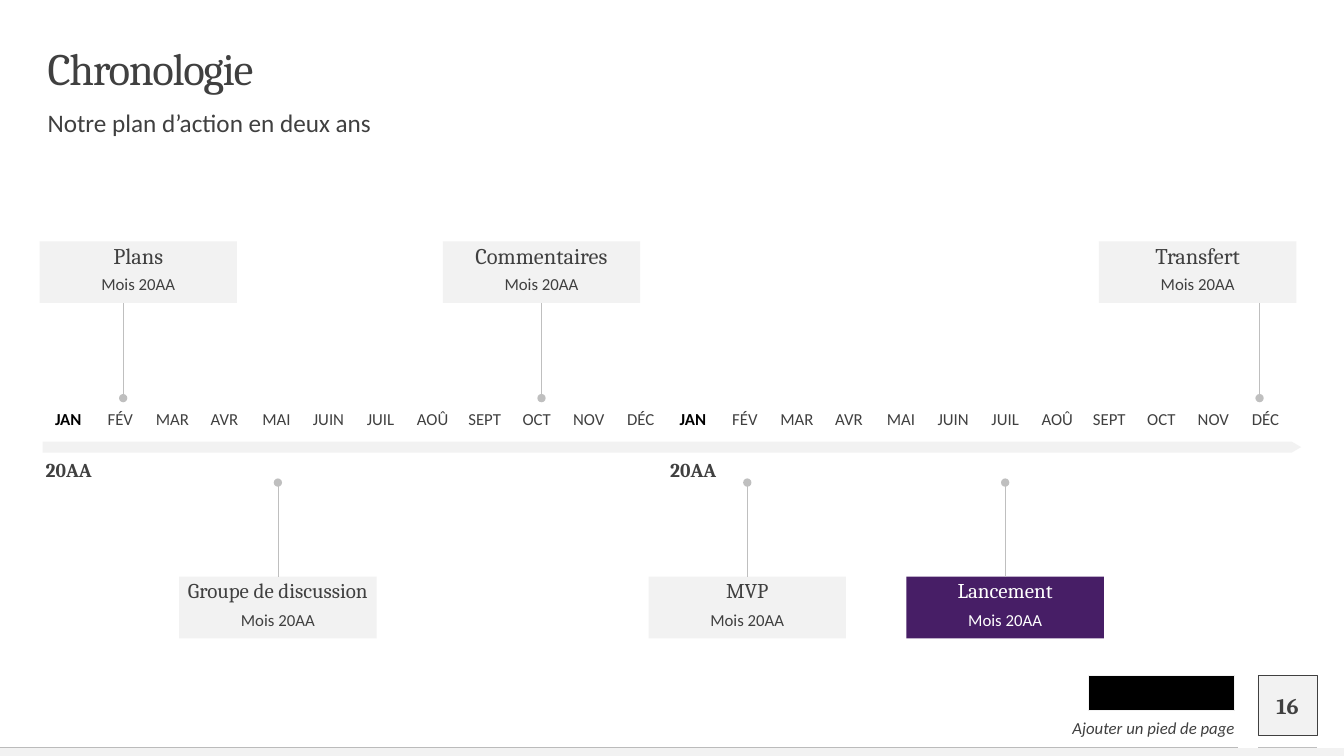
from lxml.etree import SubElement
from pptx import Presentation
from pptx.dml.color import RGBColor
from pptx.enum.shapes import MSO_CONNECTOR, MSO_SHAPE
from pptx.enum.text import MSO_ANCHOR, PP_ALIGN
from pptx.oxml.ns import qn
from pptx.util import Pt

HUES = {
    "ink": "404040", "black": "000000", "white": "FFFFFF", "pale": "F2F2F2",
    "grey": "BFBFBF", "plum": "471E66",
}
MONTHS = ["JAN", "FÉV", "MAR", "AVR", "MAI", "JUIN",
          "JUIL", "AOÛ", "SEPT", "OCT", "NOV", "DÉC"]
STEP = 37.18
CARD_W, CARD_H = 141, 44
TOP_Y, LOW_Y = 172.5, 412
TOP_DOT, LOW_DOT = 284.4, 344.7
TOP_CARDS = [("Plans", 28.3, 88), ("Commentaires", 316.3, 386.8),
             ("Transfert", 785, 899.7)]
LOW_CARDS = [("Groupe de discussion", 128, "pale", "ink"),
             ("MVP", 463.3, "pale", "ink"),
             ("Lancement", 647.5, "plum", "white")]


def hue(name):
    return RGBColor.from_string(HUES[name])


def write(shape, text, size=12, font="Calibri", color="ink", bold=False,
          italic=False, align=PP_ALIGN.CENTER, anchor=MSO_ANCHOR.TOP,
          inset=0, lead=0.9, before=10, track=0):
    frame = shape.text_frame
    frame.word_wrap = True
    frame.vertical_anchor = anchor
    frame.margin_left = frame.margin_right = frame.margin_bottom = 0
    frame.margin_top = Pt(inset)
    para = frame.paragraphs[0]
    para.alignment = align
    para.line_spacing = lead
    para.space_before = Pt(before)
    run = para.add_run()
    run.text = text
    run.font.size = Pt(size)
    run.font.name = font
    run.font.bold = bold
    run.font.italic = italic
    run.font.color.rgb = hue(color)
    if track:
        run._r.get_or_add_rPr().set("spc", str(track * 100))


def label(slide, text, x, y, w, h, **style):
    box = slide.shapes.add_textbox(Pt(x), Pt(y), Pt(w), Pt(h))
    write(box, text, **style)


def block(slide, x, y, w, h, fill, kind=MSO_SHAPE.RECTANGLE,
          edge=None, weight=0.75):
    shape = slide.shapes.add_shape(kind, Pt(x), Pt(y), Pt(w), Pt(h))
    shape.shadow.inherit = False
    shape.fill.solid()
    shape.fill.fore_color.rgb = hue(fill)
    if edge:
        shape.line.color.rgb = hue(edge)
        shape.line.width = Pt(weight)
    else:
        shape.line.fill.background()
    return shape


def rule(slide, x, y, x2, y2, dot=False):
    line = slide.shapes.add_connector(
        MSO_CONNECTOR.STRAIGHT, Pt(x), Pt(y), Pt(x2), Pt(y2))
    line.line.color.rgb = hue("grey")
    line.line.width = Pt(0.5)
    if dot:
        SubElement(line.line._get_or_add_ln(), qn("a:tailEnd"), type="oval")
    SubElement(line._element.spPr, qn("a:effectLst"))
    return line


def card(slide, title, x, y, size, fill="pale", color="ink"):
    box = block(slide, x, y, CARD_W, CARD_H, fill)
    write(box, title, size=size, font="Cambria", color=color, inset=2.9)
    label(slide, "Mois 20AA", x + 4, y + 24.8, CARD_W - 8, 18, color=color)
    return box


def footer(slide):
    block(slide, 898.4, 482.4, 42.5, 42.5, "pale", edge="ink", weight=0.25)
    block(slide, 0, 534.3, 960, 5.7, "pale")
    rule(slide, 898.6, 533.5, 941, 533.5)
    block(slide, 0, 534, 884.2, 0.25, "ink")
    block(slide, 777.6, 482.4, 104.4, 25.2, "black", edge="pale")
    label(slide, "Ajouter un pied de page", 558, 510.8, 324, 16.6,
          italic=True, align=PP_ALIGN.RIGHT, anchor=MSO_ANCHOR.BOTTOM,
          lead=1, before=0)
    label(slide, "16", 898.4, 489.6, 42.5, 28.8, size=16, font="Cambria",
          bold=True, anchor=MSO_ANCHOR.MIDDLE, lead=1, before=0)


def scale(slide):
    bar = block(slide, 30.4, 315.4, 899, 7.9, "pale",
                kind=MSO_SHAPE.RIGHT_ARROW)
    bar.adjustments[0] = 1
    bar.adjustments[1] = 0.86
    for i, month in enumerate(MONTHS * 2):
        first = i % 12 == 0
        label(slide, month, 34 + i * STEP, 293.5, 29.5, 15.8,
              bold=first, color="black" if first else "ink")
        if first:
            label(slide, "20AA", 25 + i * STEP, 328.3, 48.2, 15.8, size=14,
                  font="Cambria", bold=True, anchor=MSO_ANCHOR.MIDDLE)


def main():
    deck = Presentation()
    deck.slide_width, deck.slide_height = Pt(960), Pt(540)
    slide = deck.slides.add_slide(deck.slide_layouts[6])
    footer(slide)
    label(slide, "Chronologie", 34, 33.84, 892.8, 33.84, size=32,
          font="Cambria", align=PP_ALIGN.LEFT, anchor=MSO_ANCHOR.MIDDLE,
          before=0, track=-1)
    label(slide, "Notre plan d’action en deux ans", 34, 79.2, 892.8, 28,
          size=18, align=PP_ALIGN.LEFT)
    scale(slide)
    for title, x, pin in TOP_CARDS:
        box = card(slide, title, x, TOP_Y, 16)
        line = rule(slide, pin, TOP_Y + CARD_H, pin, TOP_DOT, dot=True)
        if abs(pin - x - CARD_W / 2) < 0.1:
            line.begin_connect(box, 2)
    for title, x, fill, color in LOW_CARDS:
        box = card(slide, title, x, LOW_Y, 15, fill, color)
        pin = x + CARD_W / 2
        line = rule(slide, pin, LOW_Y, pin, LOW_DOT, dot=True)
        line.begin_connect(box, 0)
    deck.save("out.pptx")


if __name__ == "__main__":
    main()
